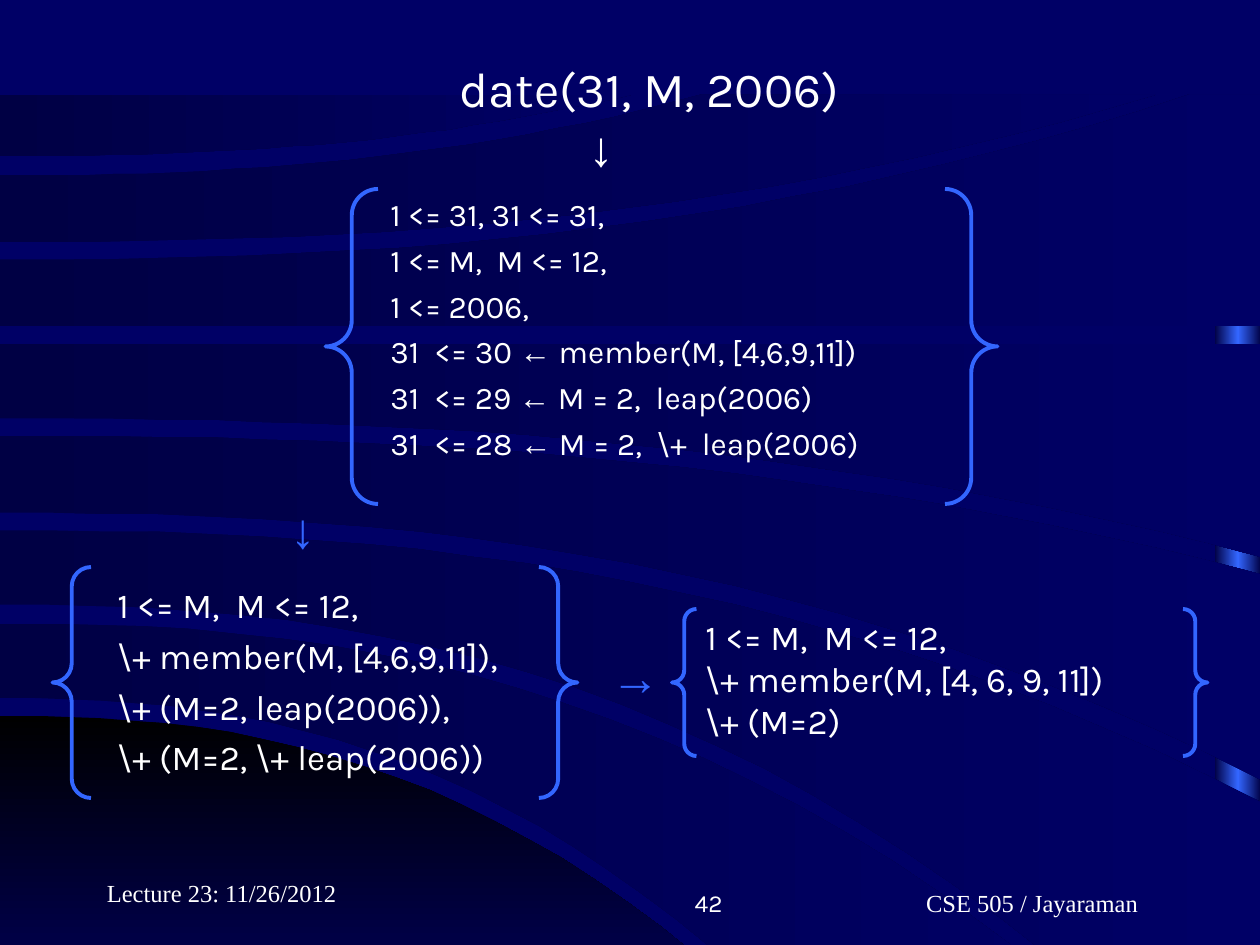
from copy import deepcopy

from pptx import Presentation
from pptx.dml.color import RGBColor
from pptx.enum.shapes import MSO_SHAPE
from pptx.enum.text import MSO_ANCHOR, PP_ALIGN
from pptx.util import Inches, Pt

RECT, PAIR = MSO_SHAPE.RECTANGLE, MSO_SHAPE.DOUBLE_BRACE
TOP, BOTTOM = MSO_ANCHOR.TOP, MSO_ANCHOR.BOTTOM
LEFT, MID, RIGHT = PP_ALIGN.LEFT, PP_ALIGN.CENTER, PP_ALIGN.RIGHT

HUES = {"navy": "000066", "dark": "000044", "black": "000000",
        "blue": "3366FF", "white": "FFFFFF"}
RGB = {name: RGBColor.from_string(code) for name, code in HUES.items()}
MAIN, SERIF, SIGN = "Karla", "Times New Roman", "Arial"

deck = Presentation()
deck.slide_width, deck.slide_height = Inches(10), Inches(7.5)
UNIT = deck.slide_width / 120    # grid of 120 columns by 90 rows
STEP = deck.slide_width / 1000   # finer step for the curved bands
slide = deck.slides.add_slide(deck.slide_layouts[6])
slide.background.fill.solid()
slide.background.fill.fore_color.rgb = RGB["navy"]


def shade(shape, first, last, angle=0):
    """Give a shape a plain two-colour gradient without line or shadow."""
    shape.shadow.inherit = False
    shape.line.fill.background()
    shape.fill.gradient()
    shape.fill.gradient_angle = angle
    for stop, hue in zip(shape.fill.gradient_stops, (first, last)):
        stop.color.rgb = RGB[hue]


def write(area, lines, size, font=MAIN, hue="white", gap=0, indents=(0,),
          align=LEFT, anchor=TOP):
    """Add a text box; arrows in a line are set in the sign font."""
    box = slide.shapes.add_textbox(*(round(n * UNIT) for n in area))
    frame = box.text_frame
    frame.word_wrap = True
    frame.vertical_anchor = anchor
    for i, line in enumerate(lines):
        para = frame.paragraphs[0] if i == 0 else frame.add_paragraph()
        indent = indents[i % len(indents)]
        if indent:
            para._p.get_or_add_pPr().set("marL", str(round(indent * UNIT)))
        para.alignment = align
        if i:
            para.space_before = Pt(gap)
        para.font.size = Pt(size)
        para.font.name = SIGN if line in "↓→" else font
        para.font.color.rgb = RGB[hue]
        head, arrow, tail = line.partition("←")
        para.add_run().text = head
        if arrow:
            sign = para.add_run()
            sign.text, sign.font.name = arrow, SIGN
            para.add_run().text = tail


# Glowing strip at the right edge, seen between the bands
strip = slide.shapes.add_shape(
    RECT, *(round(n * STEP) for n in (964, 77, 37, 750)))
shade(strip, "dark", "dark")
stops = strip.fill._fill._gradFill.gsLst
stops.insert(1, deepcopy(stops[0]))
middle = strip.fill.gradient_stops[1]
middle.position, middle.color.rgb = 0.5, RGB["blue"]

# Bands between two edges; an edge is (start y, end x, end y) in steps and
# leaves the left side level, bending by a fixed power of x
BEND, PARTS = 2.4, 24
BANDS = [
    ((568, 629, 827), (827, 629, 827)),
    ((495, 894, 825), (554, 643, 825)),
    ((421, 1001, 637), (480, 910, 825)),
    ((346, 1001, 456), (407, 1001, 619)),
    ((273, 1001, 273), (332, 1001, 442)),
    ((206, 944, 75), (259, 1001, 259)),
    ((139, 557, 75), (192, 918, 75)),
    ((75, 502, 75), (124, 502, 75)),
]
for row, pair in enumerate(BANDS):
    upper, lower = ([(end * i / PARTS, y + (last - y) * (i / PARTS) ** BEND)
                     for i in range(PARTS + 1)] for y, end, last in pair)
    near, far = sorted((upper[-1], lower[-1]))
    corner = (far[0], near[1])
    path = slide.shapes.build_freeform(*upper[0], scale=STEP)
    path.add_line_segments(upper[1:] + [corner] + lower[::-1], close=True)
    band = path.convert_to_shape()
    if row == 0:
        shade(band, "black", "navy", 270)
    else:
        shade(band, "dark", "navy")

# Brace pairs
for area in ((31, 18, 64, 30), (5, 54, 50, 22), (64, 58, 51, 14)):
    brace = slide.shapes.add_shape(PAIR, *(round(n * UNIT) for n in area))
    brace.adjustments[0] = 1 / 12
    brace.shadow.inherit = False
    brace.fill.background()
    brace.line.color.rgb = RGB["blue"]
    brace.line.width = Pt(2.25)

# Query and its three stages
write((35, 5, 60, 12.5), ["date(31, M, 2006)", "↓"], 28, indents=(7.6, 19.9))
write((34, 18, 56, 30), [
    "1 <= 31, 31 <= 31,",
    "1 <= M,  M <= 12,",
    "1 <= 2006,",
    "31  <= 30 ← member(M, [4,6,9,11])",
    "31  <= 29 ← M = 2,  leap(2006)",
    "31  <= 28 ← M = 2,  \\+  leap(2006)",
], 18, gap=4.5, indents=(2,))
write((10, 55, 42, 19.7), [
    "1 <= M,  M <= 12,",
    "\\+ member(M, [4,6,9,11]),",
    "\\+ (M=2, leap(2006)),",
    "\\+ (M=2, \\+ leap(2006))",
], 20, gap=5)
write((66, 58, 50, 13.2), [
    "1 <= M,  M <= 12,",
    "\\+ member(M, [4, 6, 9, 11])",
    "\\+ (M=2)",
], 20)
write((26.5, 47, 4.2, 6.8), ["↓"], 28, hue="blue")
write((57, 61, 7.1, 6.8), ["→"], 28, hue="blue")

# Footer
write((9, 81, 25, 6), ["Lecture 23: 11/26/2012"], 14, SERIF, anchor=BOTTOM)
write((45, 82, 25, 6), ["42"], 14, align=RIGHT, anchor=BOTTOM)
write((79.3, 82, 38, 6), ["CSE 505 / Jayaraman"], 14, SERIF, align=MID,
      anchor=BOTTOM)

deck.save("out.pptx")
